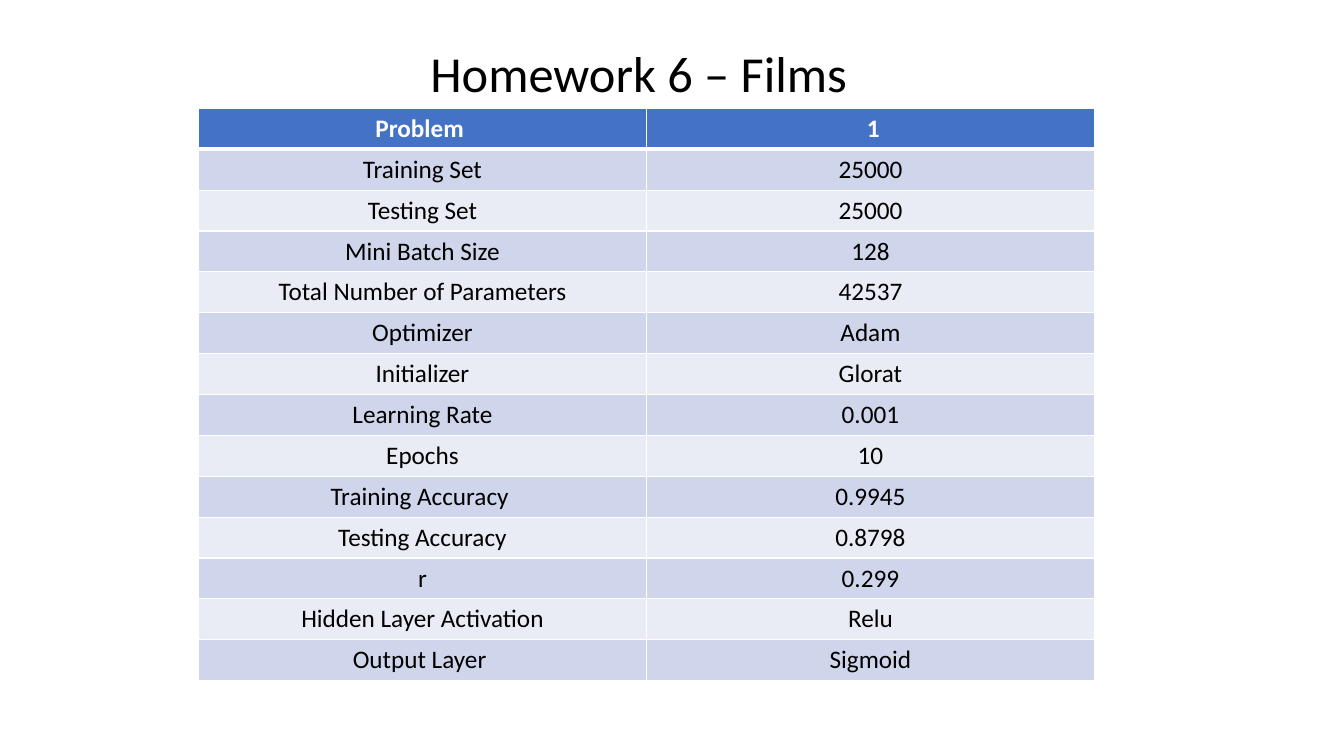
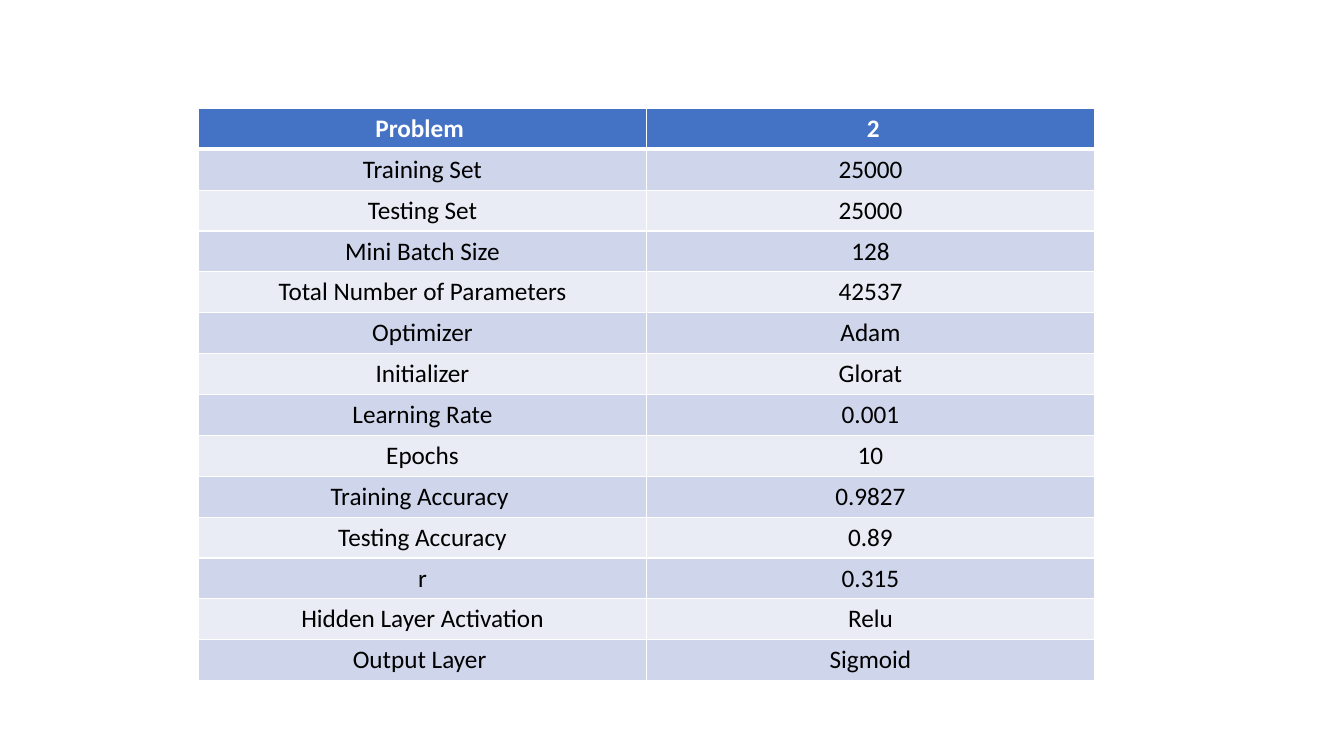
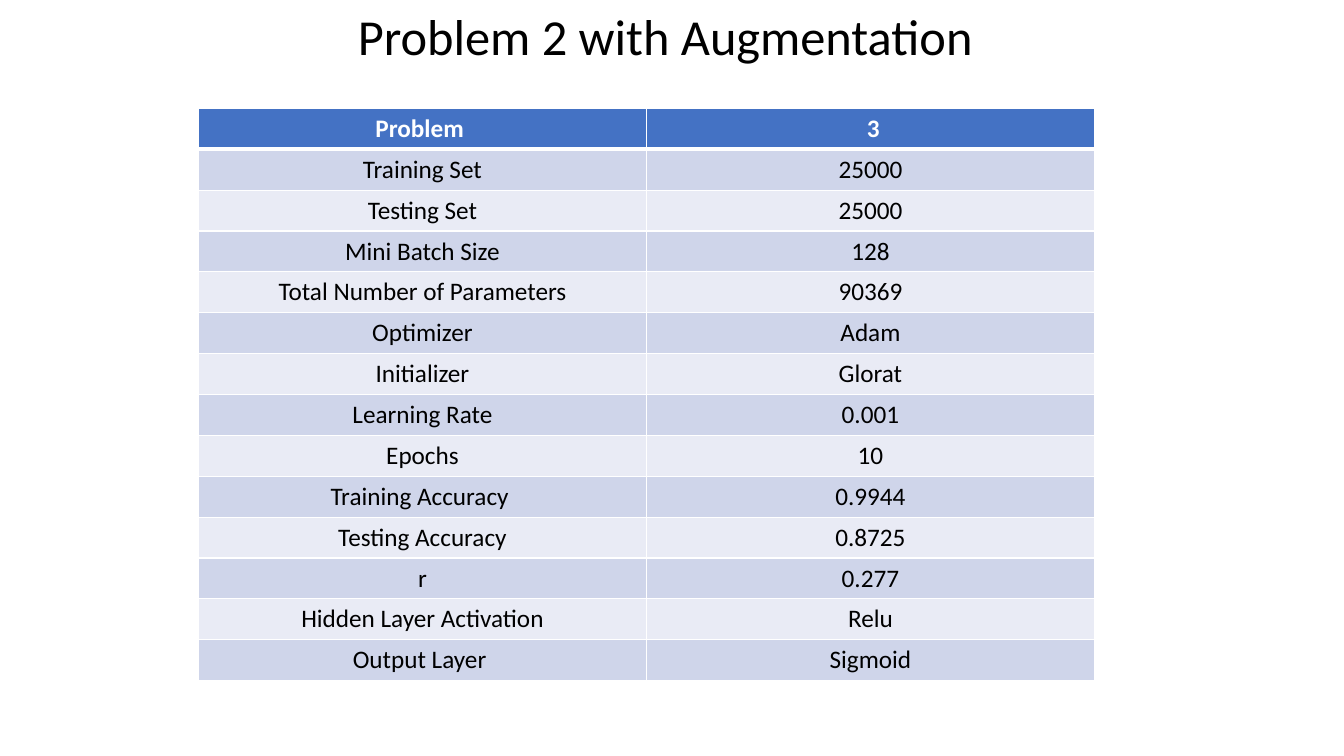
from lxml import etree
from pptx import Presentation
from pptx.dml.color import RGBColor
from pptx.enum import text
from pptx.oxml import ns
from pptx.util import Pt

FONT = "Calibri"
COLORS = {"head": "4472C4", "odd": "CFD5EA", "even": "E9EBF5",
          "line": "FFFFFF", "light": "FFFFFF", "dark": "000000"}

LABELS = ["Problem ", "Training Set", "Testing Set", "Mini Batch Size",
          "Total Number of Parameters", "Optimizer", "Initializer",
          "Learning Rate", "Epochs", "Training Accuracy ",
          "Testing Accuracy", "r", "Hidden Layer Activation",
          "Output Layer "]
SHARED = {"Training Set": "25000", "Testing Set": "25000",
          "Mini Batch Size": "128", "Optimizer": "Adam",
          "Initializer": "Glorat", "Learning Rate": "0.001",
          "Epochs": "10", "Hidden Layer Activation": "Relu",
          "Output Layer ": "Sigmoid"}
VARIED = ["Problem ", "Total Number of Parameters", "Training Accuracy ",
          "Testing Accuracy", "r"]
SLIDES = [
    {"title": "Homework 6 – Films", "box": (300.2, 26.6, 375, 51),
     "values": [" 1", "42537", "0.9945", "0.8798", "0.299"]},
    {"title": None,
     "values": [" 2", "42537", "0.9827", "0.89", "0.315"]},
    {"title": "Problem 2 with Augmentation", "box": (248.4, 0, 569.5, 51),
     "values": [" 3", "90369", "0.9944", "0.8725", "0.277"]},
]

LEFT, TOP, COL, ROW = 141.8, 77.4, 320, 29.2
THIN, THICK = 1, 3


def write(para, words, size, color, align, bold=False):
    para.alignment = align
    run = para.add_run()
    run.text = words
    font = run.font
    font.name, font.size, font.bold = FONT, Pt(size), bold
    font.color.rgb = RGBColor.from_string(COLORS[color])


def edge(cell, side, width):
    props = cell._tc.get_or_add_tcPr()
    line = etree.SubElement(props, ns.qn("a:ln" + side), w=str(Pt(width)))
    fill = etree.SubElement(line, ns.qn("a:solidFill"))
    etree.SubElement(fill, ns.qn("a:srgbClr"), val=COLORS["line"])


def add_title(slide, words, box):
    shape = slide.shapes.title
    shape.left, shape.top, shape.width, shape.height = map(Pt, box)
    frame = shape.text_frame
    frame.auto_size = text.MSO_AUTO_SIZE.NONE
    frame.word_wrap = True
    frame.vertical_anchor = text.MSO_ANCHOR.TOP
    write(frame.paragraphs[0], words, 36, "dark", text.PP_ALIGN.LEFT)


def add_grid(slide, rows):
    count = len(rows)
    grid = slide.shapes.add_table(count, 2, Pt(LEFT), Pt(TOP),
                                  Pt(2 * COL), Pt(count * ROW)).table
    for col in grid.columns:
        col.width = Pt(COL)
    for i, row in enumerate(rows):
        grid.rows[i].height = Pt(ROW)
        head = i == 0
        band = "head" if head else "odd" if i % 2 else "even"
        for j, words in enumerate(row):
            cell = grid.cell(i, j)
            for side in "LRTB":
                thick = (i, side) in ((0, "B"), (1, "T"))
                edge(cell, side, THICK if thick else THIN)
            cell.fill.solid()
            cell.fill.fore_color.rgb = RGBColor.from_string(COLORS[band])
            write(cell.text_frame.paragraphs[0], words, 18,
                  "light" if head else "dark", text.PP_ALIGN.CENTER, head)


deck = Presentation()
deck.slide_width, deck.slide_height = Pt(960), Pt(540)
TITLED, BLANK = deck.slide_layouts[5], deck.slide_layouts[6]

for item in SLIDES:
    slide = deck.slides.add_slide(TITLED if item["title"] else BLANK)
    if item["title"]:
        add_title(slide, item["title"], item["box"])
    facts = {**SHARED, **dict(zip(VARIED, item["values"]))}
    add_grid(slide, [(label, facts[label]) for label in LABELS])

deck.save("out.pptx")
